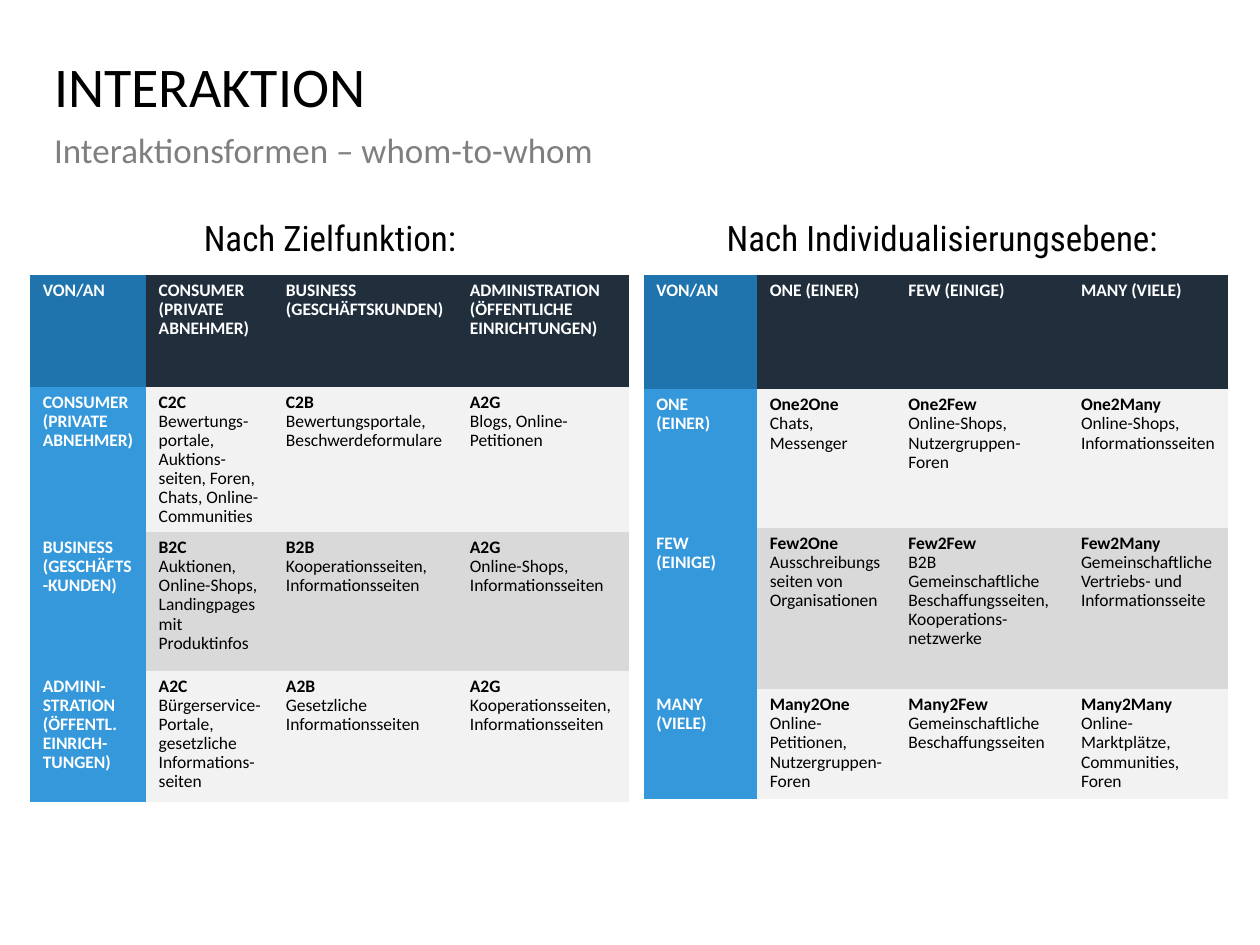
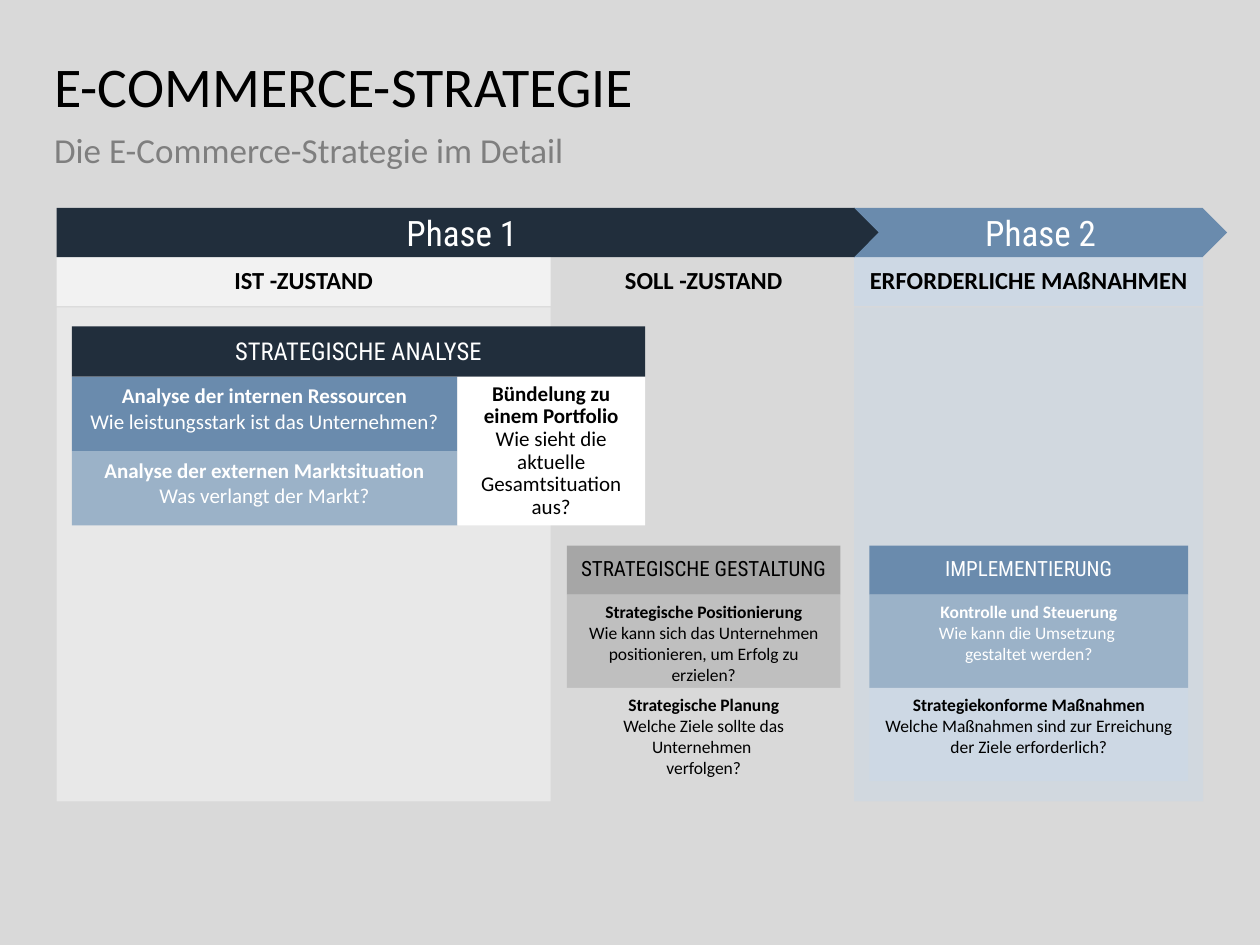
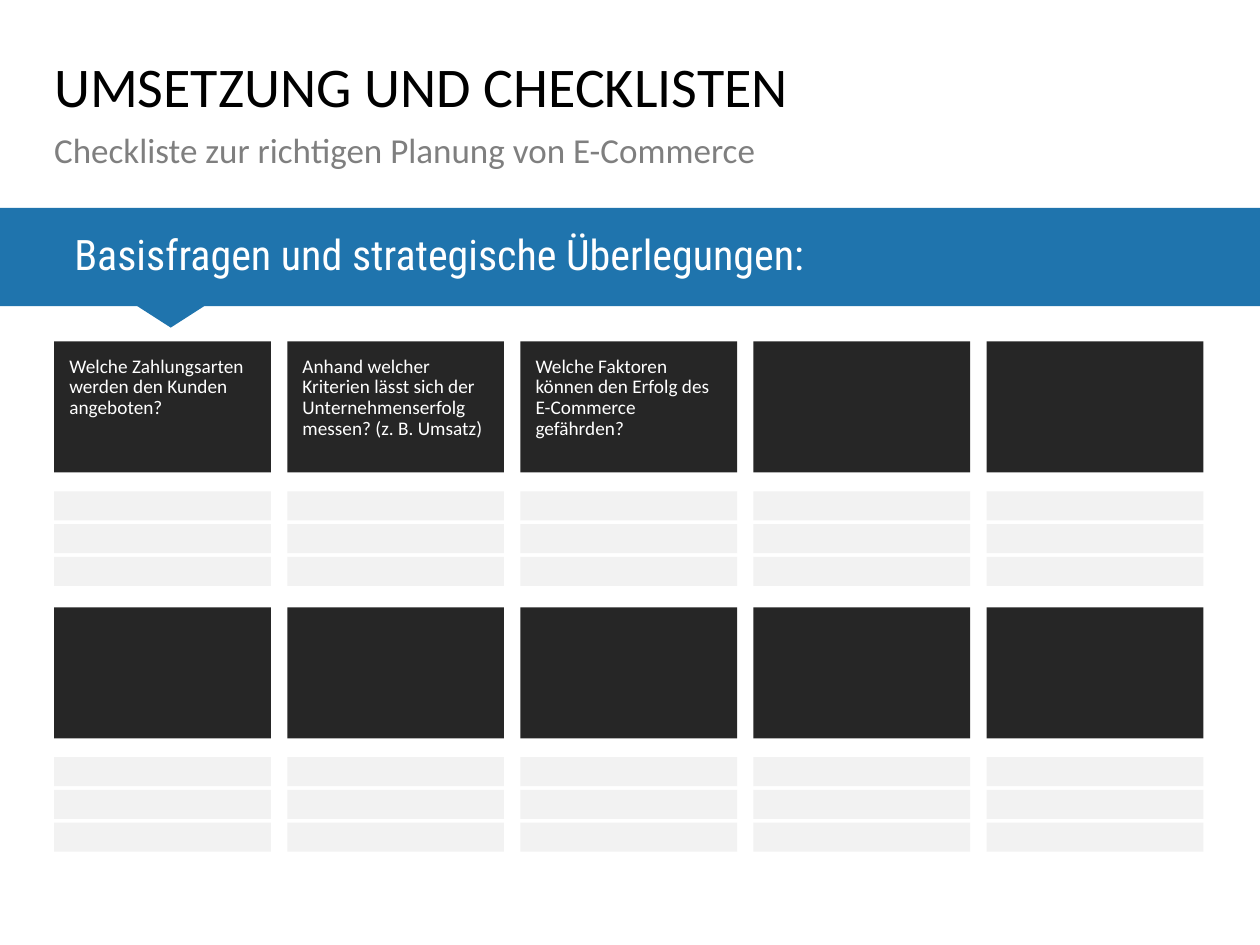
from collections import namedtuple
from copy import deepcopy

from lxml.etree import SubElement
from pptx import Presentation
from pptx.dml.color import RGBColor
from pptx.enum.shapes import MSO_SHAPE
from pptx.enum.text import MSO_ANCHOR, PP_ALIGN
from pptx.oxml.ns import qn
from pptx.util import Inches, Pt

Box = namedtuple("Box", "left top width height")

COLOURS = {
    "white": "FFFFFF", "black": "000000", "subtitle": "7F7F7F", "navy": "212E3C",
    "blue": "1F74AD", "sky": "3498DB", "steel": "6A8BAD", "mist": "9BB2C8",
    "ice": "CDD8E4", "pale": "F2F2F2", "light": "D9D9D9", "silver": "BFBFBF",
    "grey": "A6A6A6", "charcoal": "262626",
}
BODY, DISPLAY = "Calibri", "Roboto Condensed"
PLAIN_TABLE = "{2D5ABB26-0587-4C30-8999-92F81FD0307C}"
LEFT, CENTER = PP_ALIGN.LEFT, PP_ALIGN.CENTER
TOP, MIDDLE = MSO_ANCHOR.TOP, MSO_ANCHOR.MIDDLE


def text_style(size, name=BODY, bold=False, align=CENTER, spacing=1.0, after=0):
    """Return the font and paragraph values of one text style."""
    return {
        "font": {"size": Pt(size), "name": name, "bold": bold},
        "paragraph": {"alignment": align, "line_spacing": spacing, "space_after": Pt(after)},
    }


STYLES = {
    "title": text_style(32, align=LEFT, spacing=0.9),
    "subtitle": text_style(20, align=LEFT, spacing=0.9, after=10),
    "caption": text_style(20, DISPLAY, spacing=0.8, after=10),
    "cell": text_style(10, align=LEFT, spacing=0.9),
    "phase": text_style(20, DISPLAY),
    "state": text_style(14, bold=True, spacing=0.9, after=10),
    "analysis": text_style(14, DISPLAY),
    "stack": text_style(12, DISPLAY),
    "finding": text_style(12),
    "portfolio": text_style(12, spacing=0.9),
    "card": text_style(10),
    "banner": text_style(24, DISPLAY, align=LEFT, spacing=0.9),
    "question": text_style(11, align=LEFT, spacing=0.9),
}

GOALS = {
    "caption": "Nach Zielfunktion:",
    "columns": [0.92, 1.01, 1.46, 1.36],
    "rows": [0.89, 1.14, 1.1, 1.04],
    "cells": [
        [["VON/AN"], ["CONSUMER \n(PRIVATE ABNEHMER)"], ["BUSINESS (GESCHÄFTSKUNDEN)"],
         ["ADMINISTRATION (ÖFFENTLICHE EINRICHTUNGEN)"]],
        [["CONSUMER (PRIVATE ABNEHMER)"],
         ["C2C", "Bewertungs-portale, Auktions-seiten, Foren, Chats, Online-Communities"],
         ["C2B", "Bewertungsportale, Beschwerdeformulare"],
         ["A2G", "Blogs, Online-Petitionen"]],
        [["BUSINESS (GESCHÄFTS-KUNDEN)"],
         ["B2C", "Auktionen, Online-Shops, Landingpages mit Produktinfos"],
         ["B2B", "Kooperationsseiten, Informationsseiten"],
         ["A2G", "Online-Shops, Informationsseiten"]],
        [["ADMINI-STRATION (ÖFFENTL. EINRICH-TUNGEN)"],
         ["A2C", "Bürgerservice-Portale, gesetzliche Informations-seiten"],
         ["A2B", "Gesetzliche Informationsseiten"],
         ["A2G", "Kooperationsseiten, Informationsseiten"]],
    ],
}
AUDIENCES = {
    "caption": "Nach Individualisierungsebene:",
    "columns": [0.9, 1.1, 1.37, 1.27],
    "rows": [0.91, 1.1, 1.28, 0.87],
    "cells": [
        [["VON/AN"], ["ONE (EINER)"], ["FEW (EINIGE)"], ["MANY (VIELE)"]],
        [["ONE (EINER)"], ["One2One", "Chats, Messenger"],
         ["One2Few", "Online-Shops, Nutzergruppen-Foren"],
         ["One2Many", "Online-Shops, Informationsseiten"]],
        [["FEW (EINIGE)"], ["Few2One", "Ausschreibungsseiten von Organisationen"],
         ["Few2Few", "B2B", "Gemeinschaftliche Beschaffungsseiten, Kooperations-netzwerke"],
         ["Few2Many", "Gemeinschaftliche Vertriebs- und Informationsseite"]],
        [["MANY (VIELE)"], ["Many2One", "Online-Petitionen, Nutzergruppen-Foren"],
         ["Many2Few", "Gemeinschaftliche Beschaffungsseiten"],
         ["Many2Many", "Online-Marktplätze, Communities, Foren"]],
    ],
}
DESIGN_STACK = [
    (["STRATEGISCHE GESTALTUNG"], "grey", "black"),
    (["Strategische Positionierung",
      "Wie kann sich das Unternehmen positionieren, um Erfolg zu erzielen?"], "silver", "black"),
    (["Strategische Planung",
      "Welche Ziele sollte das Unternehmen \nverfolgen?"], "light", "black"),
]
IMPLEMENTATION_STACK = [
    (["IMPLEMENTIERUNG"], "steel", "white"),
    (["Kontrolle und Steuerung",
      "Wie kann die Umsetzung \ngestaltet werden?"], "mist", "white"),
    (["Strategiekonforme Maßnahmen",
      "Welche Maßnahmen sind zur Erreichung der Ziele erforderlich?"], "ice", "black"),
]
QUESTIONS = [
    "Welche Zahlungsarten werden den Kunden angeboten?",
    "Anhand welcher Kriterien lässt sich der Unternehmenserfolg messen? (z. B. Umsatz)",
    "Welche Faktoren können den Erfolg des E-Commerce gefährden?",
]


def inches(box):
    """Return the four lengths of a box."""
    return [Inches(value) for value in box]


def paint(fill, colour):
    """Fill with a solid named colour."""
    fill.solid()
    fill.fore_color.rgb = RGBColor.from_string(COLOURS[colour])


def add_run(paragraph, text, font_values, colour):
    """Add one formatted run."""
    run = paragraph.add_run()
    run.text = text
    for name, value in font_values.items():
        setattr(run.font, name, value)
    run.font.color.rgb = RGBColor.from_string(COLOURS[colour])
    return run


def write(frame, lines, style, colour, bold_lead=False):
    """Write paragraphs, optionally with a bold first one."""
    frame.word_wrap = True
    values = STYLES[style]
    for index, line in enumerate(lines):
        paragraph = frame.paragraphs[0] if index == 0 else frame.add_paragraph()
        for name, value in values["paragraph"].items():
            setattr(paragraph, name, value)
        font_values = dict(values["font"])
        if bold_lead:
            font_values["bold"] = index == 0
        for part_index, part in enumerate(line.split("\n")):
            if part_index:
                paragraph.add_line_break()
                line_break = paragraph._p.findall(qn("a:br"))[-1]
                line_break.append(deepcopy(run.font._element))
            run = add_run(paragraph, part, font_values, colour)


def set_frame(frame, margins, anchor):
    """Set the insets and vertical anchor of a text frame."""
    for side, value in zip(("left", "top", "right", "bottom"), margins):
        setattr(frame, f"margin_{side}", Inches(value))
    frame.vertical_anchor = anchor


def add_block(slide, box, fill, lines=(), style="card", colour="black",
              margins=(0.1, 0.05, 0.1, 0.05), anchor=TOP, kind=MSO_SHAPE.RECTANGLE,
              bold_lead=False, opacity=None):
    """Add a flat filled shape with optional text."""
    shape = slide.shapes.add_shape(kind, *inches(box))
    shape.shadow.inherit = False
    shape.line.fill.background()
    paint(shape.fill, fill)
    if opacity:
        colour_element = shape._element.spPr.find(qn("a:solidFill"))[0]
        SubElement(colour_element, qn("a:alpha")).set("val", str(opacity * 1000))
    if lines:
        set_frame(shape.text_frame, margins, anchor)
        write(shape.text_frame, lines, style, colour, bold_lead)
    return shape


def add_titled_slide(presentation, title, subtitle, background="white"):
    """Add a blank slide with the shared title and subtitle."""
    slide = presentation.slides.add_slide(presentation.slide_layouts[6])
    paint(slide.background.fill, background)
    headings = [(title, "title", "black", 0.47), (subtitle, "subtitle", "subtitle", 1.06)]
    for text, style, colour, top in headings:
        frame = slide.shapes.add_textbox(*inches(Box(0.43, top, 9.13, 0.59))).text_frame
        set_frame(frame, (0, 0, 0, 0), TOP)
        write(frame, [text], style, colour)
    return slide


def cell_fill(row, column):
    """Return the fill of a matrix cell."""
    if row == 0:
        return "navy" if column else "blue"
    if column == 0:
        return "sky"
    return "pale" if row % 2 else "light"


def add_matrix(slide, box, matrix):
    """Add an interaction table."""
    cells = matrix["cells"]
    frame = slide.shapes.add_table(len(cells), len(cells[0]), *inches(box))
    frame._element.find(f".//{qn('a:tableStyleId')}").text = PLAIN_TABLE
    table = frame.table
    table.first_row = table.horz_banding = False
    for column, width in zip(table.columns, matrix["columns"]):
        column.width = Inches(width)
    for row, height in zip(table.rows, matrix["rows"]):
        row.height = Inches(height)
    for row, texts in enumerate(cells):
        for column, lines in enumerate(texts):
            cell = table.cell(row, column)
            paint(cell.fill, cell_fill(row, column))
            colour = "black" if row and column else "white"
            write(cell.text_frame, lines, "cell", colour, bold_lead=True)


def add_captioned_matrix(slide, caption_box, table_left, matrix):
    """Add a caption with its table below."""
    add_block(slide, caption_box, "white", [matrix["caption"]], "caption",
              margins=(0, 0, 0, 0), anchor=MIDDLE)
    top = caption_box.top + 0.53
    add_matrix(slide, Box(table_left, top, sum(matrix["columns"]), sum(matrix["rows"])), matrix)


def add_state_column(slide, box, name, fill):
    """Add a state heading over a translucent column."""
    heading = 0.39
    add_block(slide, Box(box.left, box.top + 0.4, box.width, box.height - 0.4), fill, opacity=60)
    add_block(slide, box._replace(height=heading), fill, [name], "state",
              margins=(0.04,) * 4, anchor=MIDDLE)


def add_stack(slide, box, cards):
    """Add a heading with equal cards below."""
    heading = 0.39
    card_height = (box.height - heading) / (len(cards) - 1)
    for index, (lines, fill, colour) in enumerate(cards):
        if index == 0:
            add_block(slide, box._replace(height=heading), fill, lines, "stack", colour,
                      margins=(0, 0.08, 0, 0.08))
        else:
            top = box.top + heading + (index - 1) * card_height
            add_block(slide, Box(box.left, top, box.width, card_height), fill, lines,
                      "card", colour, bold_lead=True)


def add_analysis(slide, box):
    """Add the strategic analysis region."""
    heading, left_width = 0.4, 3.06
    body_top, body_height = box.top + heading, box.height - heading
    row_height = body_height / 2
    add_block(slide, box._replace(height=heading), "navy", ["STRATEGISCHE ANALYSE"], "analysis",
              "white", margins=(0.1, 0.08, 0.1, 0.08))
    findings = [
        (["Analyse der internen Ressourcen", "Wie leistungsstark ist das Unternehmen?"], "steel"),
        (["Analyse der externen Marktsituation", "Was verlangt der Markt?"], "mist"),
    ]
    for index, (lines, fill) in enumerate(findings):
        row_box = Box(box.left, body_top + index * row_height, left_width, row_height)
        add_block(slide, row_box, fill, lines, "finding", "white", bold_lead=True)
    add_block(slide, Box(box.left + left_width, body_top, box.width - left_width, body_height),
              "white", ["Bündelung zu einem Portfolio", "Wie sieht die aktuelle Gesamtsituation aus?"],
              "portfolio", bold_lead=True)


def add_banner(slide, box, text):
    """Add a full-width band with a pointer below."""
    add_block(slide, box, "blue", [text], "banner", "white",
              margins=(0.59, 0.05, 0.59, 0.05), anchor=MIDDLE)
    pointer = add_block(slide, Box(box.left + 1.09, box.top + box.height, 0.53, 0.17), "blue",
                        kind=MSO_SHAPE.ISOSCELES_TRIANGLE)
    pointer.rotation = 180


def add_check_item(slide, box, question):
    """Add a question tile with three answer bars."""
    lines = [question] if question else []
    add_block(slide, box._replace(height=1.04), "charcoal", lines, "question", "white",
              margins=(0.12,) * 4)
    for index in range(3):
        add_block(slide, Box(box.left, box.top + 1.19 + index * 0.26, box.width, 0.23), "pale")


def build_interaction(presentation):
    """Build the slide with the two interaction tables."""
    slide = add_titled_slide(presentation, "INTERAKTION", "Interaktionsformen – whom-to-whom")
    add_captioned_matrix(slide, Box(5.16, 1.65, 4.64, 0.54), 5.11, AUDIENCES)
    add_captioned_matrix(slide, Box(0.24, 1.65, 4.76, 0.54), 0.24, GOALS)


def build_strategy(presentation):
    """Build the slide with the strategy phases."""
    slide = add_titled_slide(presentation, "E-COMMERCE-STRATEGIE",
                             "Die E-Commerce-Strategie im Detail", "light")
    top, height = 2.04, 4.32
    current = Box(0.45, top, 3.92, height)
    target = Box(4.38, top, 2.41, height)
    measures = Box(6.78, top, 2.77, height)
    add_state_column(slide, current, "IST -ZUSTAND", "pale")
    add_state_column(slide, target, "SOLL -ZUSTAND", "light")
    add_state_column(slide, measures, "ERFORDERLICHE MAßNAHMEN", "ice")
    phases = [
        ("Phase 1", current.left, 6.53, "navy", MSO_SHAPE.PENTAGON),
        ("Phase 2", measures.left, 2.96, "steel", MSO_SHAPE.CHEVRON),
    ]
    for name, left, width, fill, kind in phases:
        add_block(slide, Box(left, top - 0.39, width, 0.39), fill, [name], "phase", "white",
                  anchor=MIDDLE, kind=kind)
    add_analysis(slide, Box(current.left + 0.12, top + 0.55, 4.55, 1.58))
    for column, cards in ((target, DESIGN_STACK), (measures, IMPLEMENTATION_STACK)):
        add_stack(slide, Box(column.left + 0.12, top + 2.29, column.width - 0.24, 1.87), cards)


def build_checklist(presentation):
    """Build the checklist slide."""
    slide = add_titled_slide(presentation, "UMSETZUNG UND CHECKLISTEN",
                             "Checkliste zur richtigen Planung von E-Commerce")
    columns = 5
    for index in range(2 * columns):
        row, column = divmod(index, columns)
        question = QUESTIONS[index] if index < len(QUESTIONS) else ""
        add_check_item(slide, Box(0.43 + column * 1.85, 2.71 + row * 2.11, 1.72, 1.94), question)
    add_banner(slide, Box(0, 1.65, 10, 0.78), "Basisfragen und strategische Überlegungen:")


def main():
    """Build and save the presentation."""
    presentation = Presentation()
    presentation.slide_width, presentation.slide_height = Inches(10), Inches(7.5)
    for build in (build_interaction, build_strategy, build_checklist):
        build(presentation)
    presentation.save("out.pptx")


if __name__ == "__main__":
    main()
